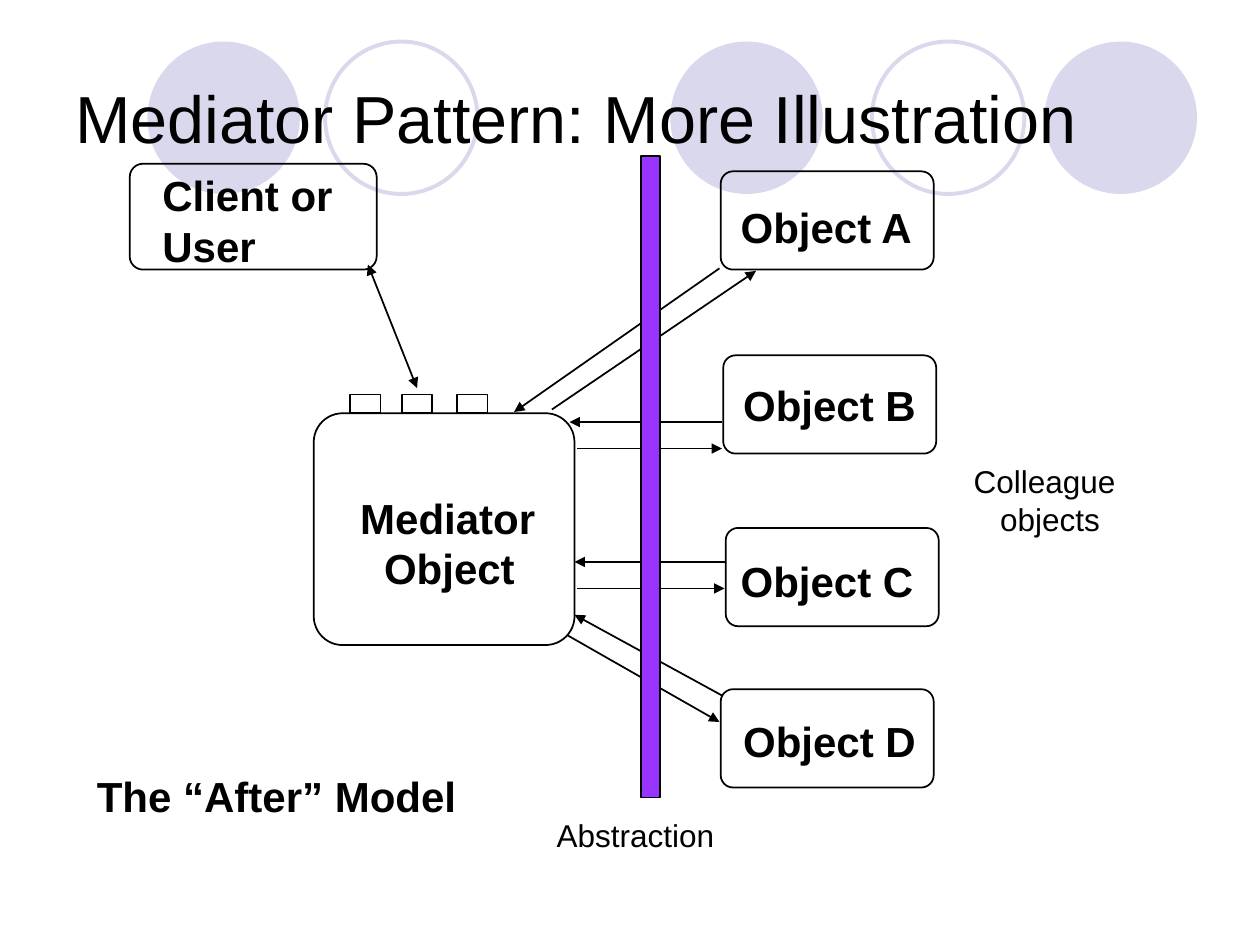
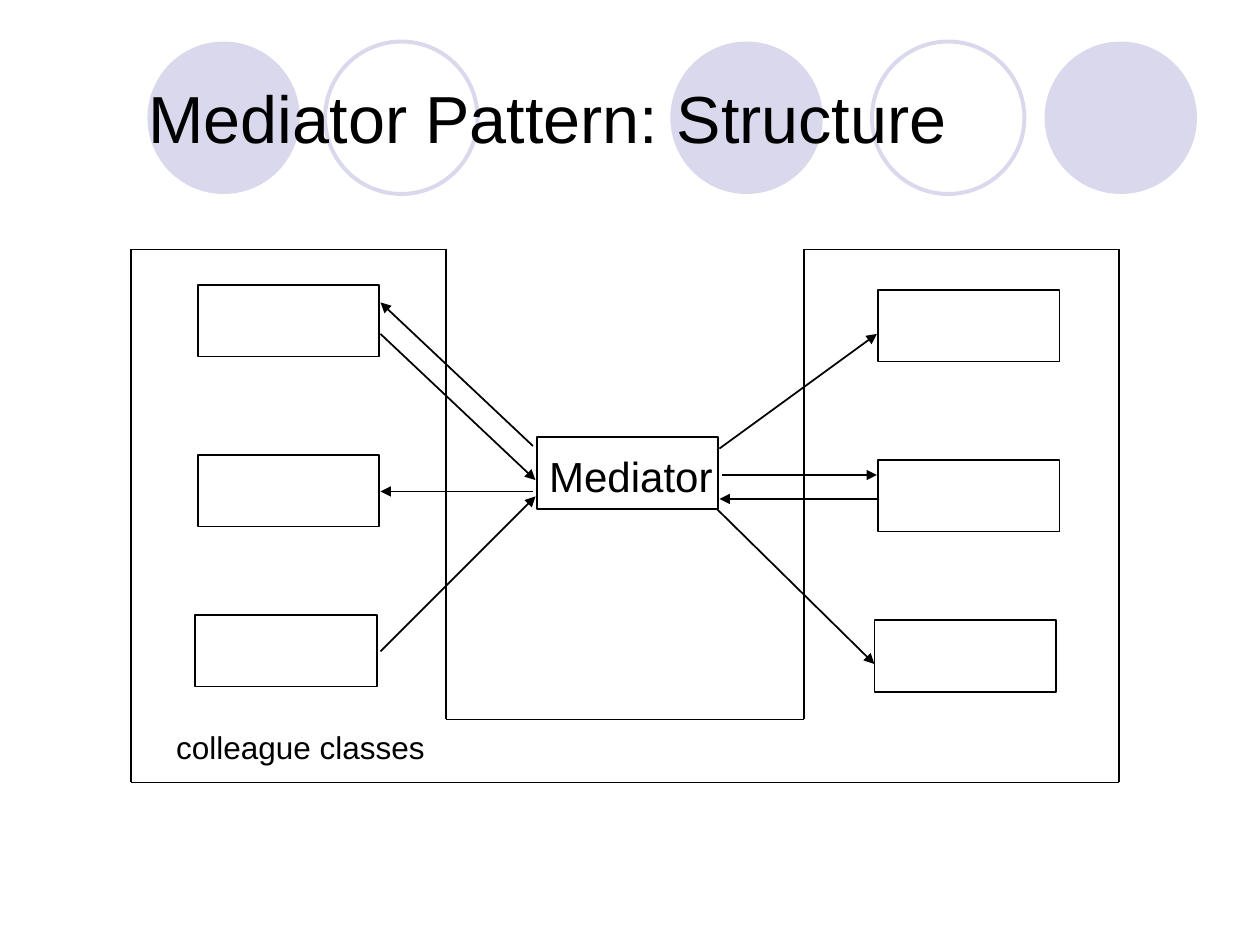
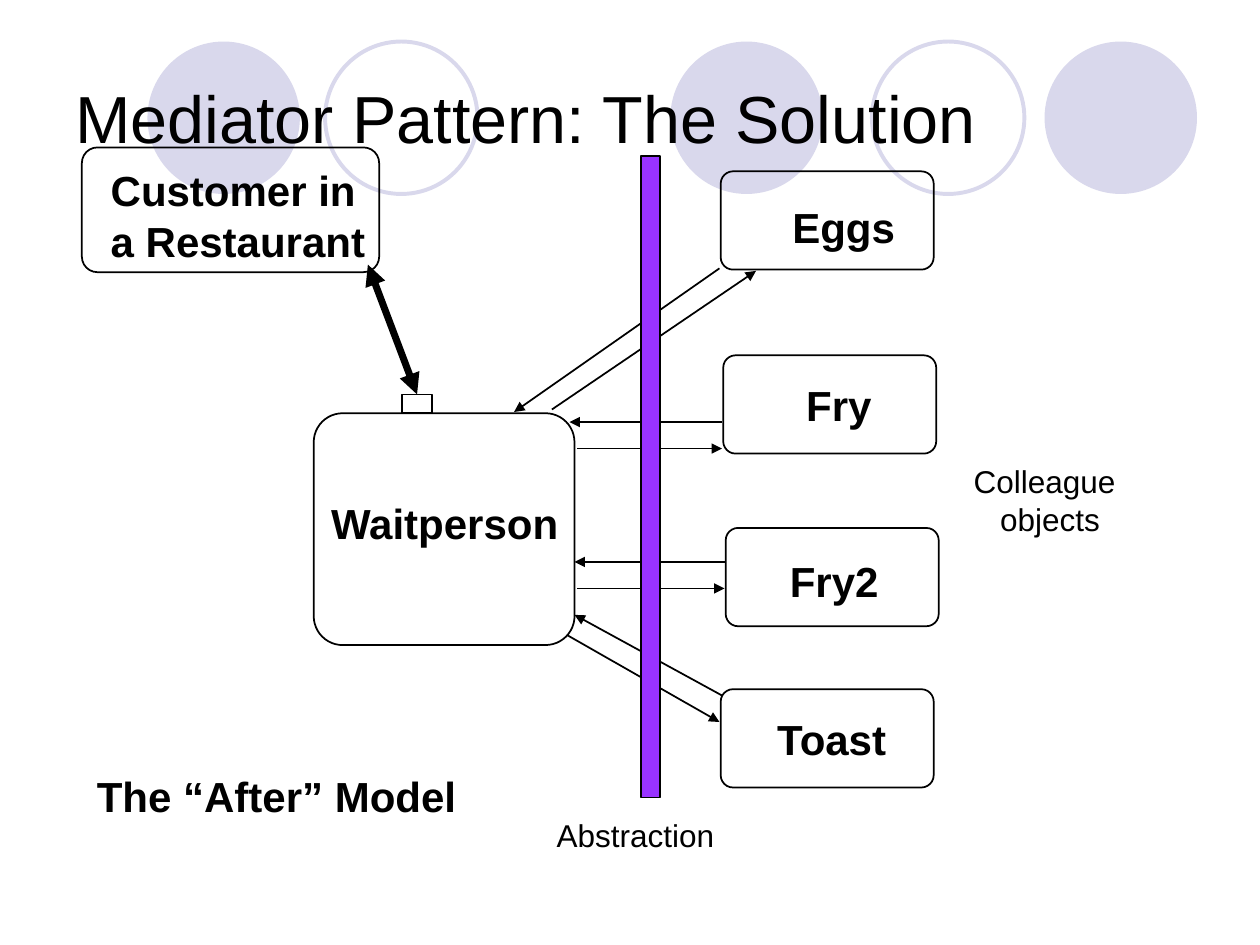
from itertools import pairwise

from pptx import Presentation
from pptx.dml.color import RGBColor
from pptx.enum.shapes import MSO_CONNECTOR, MSO_SHAPE
from pptx.enum.text import MSO_ANCHOR, MSO_AUTO_SIZE
from pptx.oxml.ns import qn
from pptx.oxml.xmlchemy import OxmlElement
from pptx.util import Inches, Pt

BLACK = RGBColor(0x00, 0x00, 0x00)
LAVENDER = RGBColor(0xD9, 0xD8, 0xEC)
PURPLE = RGBColor(0x99, 0x33, 0xFF)
FONT = "Arial"

CIRCLE_SIZE = 1.21
CIRCLES = [(5.32, True), (8.29, True), (1.17, True), (6.92, False), (2.58, False)]
WIDE_TITLE = (0.5, 0.3, 9, 1.25)

COLLEAGUE_CORNERS = [(5.72, 1.36), (5.74, 2.82), (5.76, 4.19), (5.72, 5.47)]
COLLEAGUE_ARROWS = [
    (4.5, 5.04, 5.71, 5.73), (5.73, 5.52, 4.56, 4.88),
    (4.58, 4.67, 5.75, 4.67), (5.75, 4.46, 4.56, 4.46),
    (4.58, 3.56, 5.73, 3.56), (5.73, 3.35, 4.52, 3.35),
    (4.38, 3.25, 6, 2.15), (5.71, 2.13, 4.08, 3.27),
]
MODEL_BOXES = [(x, y, 1.69, 0.78) for x, y in COLLEAGUE_CORNERS] + [(2.49, 3.28, 2.07, 1.84)]
MODEL_LABELS = [
    ("The “After” Model", (0.67, 6.07, 3.05, 0.5), {"bold": True}),
    ("Abstraction", (4.32, 6.43, 1.45, 0.4), {"size": 18}),
    ("Colleague\nobjects", (7.63, 3.62, 1.34, 0.7), {"size": 18, "indent": 0.21}),
]

HALF_FRAME = [(4.96, 5.71), (3.54, 5.71), (3.54, 1.98), (1.04, 1.98), (1.04, 6.21), (4.96, 6.21)]
FRAME_WIDTH = 9.92
FRAME_LINES = []
for start, end in pairwise(HALF_FRAME):
    FRAME_LINES.append((*start, *end))
    FRAME_LINES.append((FRAME_WIDTH - start[0], start[1], FRAME_WIDTH - end[0], end[1]))

CLASS_CORNERS = [(4.26, 3.47), (1.57, 2.26), (1.57, 3.61), (1.55, 4.88),
                 (6.97, 2.3), (6.97, 3.65), (6.94, 4.92)]

PAGES = [
    {
        "title": "Mediator Pattern: More Illustration",
        "title_at": WIDE_TITLE,
        "rounded": [(1.03, 1.3, 1.96, 0.84)] + MODEL_BOXES,
        "plain": [(x, 3.13, 0.24, 0.15) for x in (2.78, 3.19, 3.63)],
        "arrows": COLLEAGUE_ARROWS,
        "client_arrow": (2.92, 2.1, 3.31, 3.08),
        "client_weight": 1,
        "barrier": True,
        "labels": MODEL_LABELS + [
            ("Client or\nUser", (1.19, 1.3, 1.64, 0.9), {"bold": True}),
            ("Object A", (5.78, 1.55, 1.57, 0.5), {"bold": True}),
            ("Object B", (5.8, 2.96, 1.57, 0.5), {"bold": True}),
            ("Object C", (5.78, 4.36, 1.57, 0.5), {"bold": True}),
            ("Object D", (5.8, 5.63, 1.57, 0.5), {"bold": True}),
            ("Mediator\nObject", (2.76, 3.86, 1.59, 0.9), {"bold": True, "indent": 0.19}),
        ],
    },
    {
        "title": "Mediator Pattern: Structure",
        "title_at": (1.08, 0.59, 7.92, 0.67),
        "plain": [(x, y, 1.44, 0.57) for x, y in CLASS_CORNERS],
        "frame": FRAME_LINES,
        "arrows": [
            (4.23, 3.54, 3.02, 2.4), (3.02, 2.65, 4.25, 3.81),
            (4.23, 3.9, 3.02, 3.9), (3.02, 5.17, 4.25, 3.94),
            (5.71, 3.56, 6.96, 2.65), (5.73, 3.77, 6.96, 3.77),
            (6.98, 3.96, 5.71, 3.96), (5.69, 4.04, 6.94, 5.27),
        ],
        "labels": [
            ("Mediator", (4.26, 3.53, 1.5, 0.5), {}),
            ("colleague classes", (1.3, 5.73, 2.17, 0.4), {"size": 18}),
        ],
    },
    {
        "title": "Mediator Pattern: The Solution",
        "title_at": WIDE_TITLE,
        "rounded": [(0.65, 1.17, 2.36, 0.99)] + MODEL_BOXES,
        "plain": [(3.19, 3.13, 0.24, 0.15)],
        "arrows": COLLEAGUE_ARROWS,
        "client_arrow": (2.92, 2.1, 3.31, 3.13),
        "client_weight": 4,
        "barrier": True,
        "labels": MODEL_LABELS + [
            ("Customer in\na Restaurant", (0.78, 1.26, 2.31, 0.9), {"bold": True}),
            ("Eggs", (6.19, 1.55, 1.03, 0.5), {"bold": True}),
            ("Fry", (6.3, 2.96, 0.72, 0.5), {"bold": True}),
            ("Fry2", (6.17, 4.36, 0.92, 0.5), {"bold": True}),
            ("Toast", (6.07, 5.61, 1.09, 0.5), {"bold": True}),
            ("Waitperson", (2.53, 3.9, 2.01, 0.5), {"bold": True}),
        ],
    },
]


def add_text(page, text, at, size=24, bold=False, indent=0, wrap=False, anchor=MSO_ANCHOR.TOP):
    box = page.shapes.add_textbox(*map(Inches, at))
    frame = box.text_frame
    frame.word_wrap = wrap
    frame.auto_size = MSO_AUTO_SIZE.NONE if wrap else MSO_AUTO_SIZE.SHAPE_TO_FIT_TEXT
    frame.vertical_anchor = anchor
    for index, line in enumerate(text.split("\n")):
        para = frame.add_paragraph() if index else frame.paragraphs[0]
        if index and indent:
            para._p.get_or_add_pPr().set("marL", str(Inches(indent)))
        span = para.add_run()
        span.text = line
        span.font.name = FONT
        span.font.size = Pt(size)
        span.font.bold = bold
        span.font.color.rgb = BLACK


def add_box(page, kind, at, fill=None, line=BLACK, weight=1):
    box = page.shapes.add_shape(kind, *map(Inches, at))
    box.shadow.inherit = False
    if kind == MSO_SHAPE.ROUNDED_RECTANGLE:
        box.adjustments[0] = 0.125
    if fill is None:
        box.fill.background()
    else:
        box.fill.solid()
        box.fill.fore_color.rgb = fill
    if line is None:
        box.line.fill.background()
    else:
        box.line.color.rgb = line
        box.line.width = Pt(weight)


deck = Presentation()
deck.slide_width = Inches(10)
deck.slide_height = Inches(7.5)

for content in PAGES:
    page = deck.slides.add_slide(deck.slide_layouts[6])

    for left, filled in CIRCLES:
        add_box(page, MSO_SHAPE.OVAL, (left, 0.33, CIRCLE_SIZE, CIRCLE_SIZE),
                fill=LAVENDER if filled else None,
                line=None if filled else LAVENDER, weight=2.25)
    add_text(page, content["title"], content["title_at"], size=38, wrap=True,
             anchor=MSO_ANCHOR.MIDDLE)

    for at in content.get("rounded", []):
        add_box(page, MSO_SHAPE.ROUNDED_RECTANGLE, at)
    for at in content["plain"]:
        add_box(page, MSO_SHAPE.RECTANGLE, at)

    lines = [(ends, 1, []) for ends in content.get("frame", [])]
    lines += [(ends, 1, ["a:tailEnd"]) for ends in content["arrows"]]
    if "client_arrow" in content:
        lines.append((content["client_arrow"], content["client_weight"],
                      ["a:headEnd", "a:tailEnd"]))
    for ends, weight, arrowheads in lines:
        connector = page.shapes.add_connector(MSO_CONNECTOR.STRAIGHT, *map(Inches, ends))
        connector.line.color.rgb = BLACK
        connector.line.width = Pt(weight)
        properties = connector._element.spPr
        for tag in arrowheads:
            arrowhead = OxmlElement(tag)
            arrowhead.set("type", "triangle")
            properties.find(qn("a:ln")).append(arrowhead)
        properties.append(OxmlElement("a:effectLst"))

    if content.get("barrier"):
        add_box(page, MSO_SHAPE.RECTANGLE, (5.09, 1.24, 0.15, 5.09), fill=PURPLE)
    for text, at, style in content["labels"]:
        add_text(page, text, at, **style)

deck.save("out.pptx")
